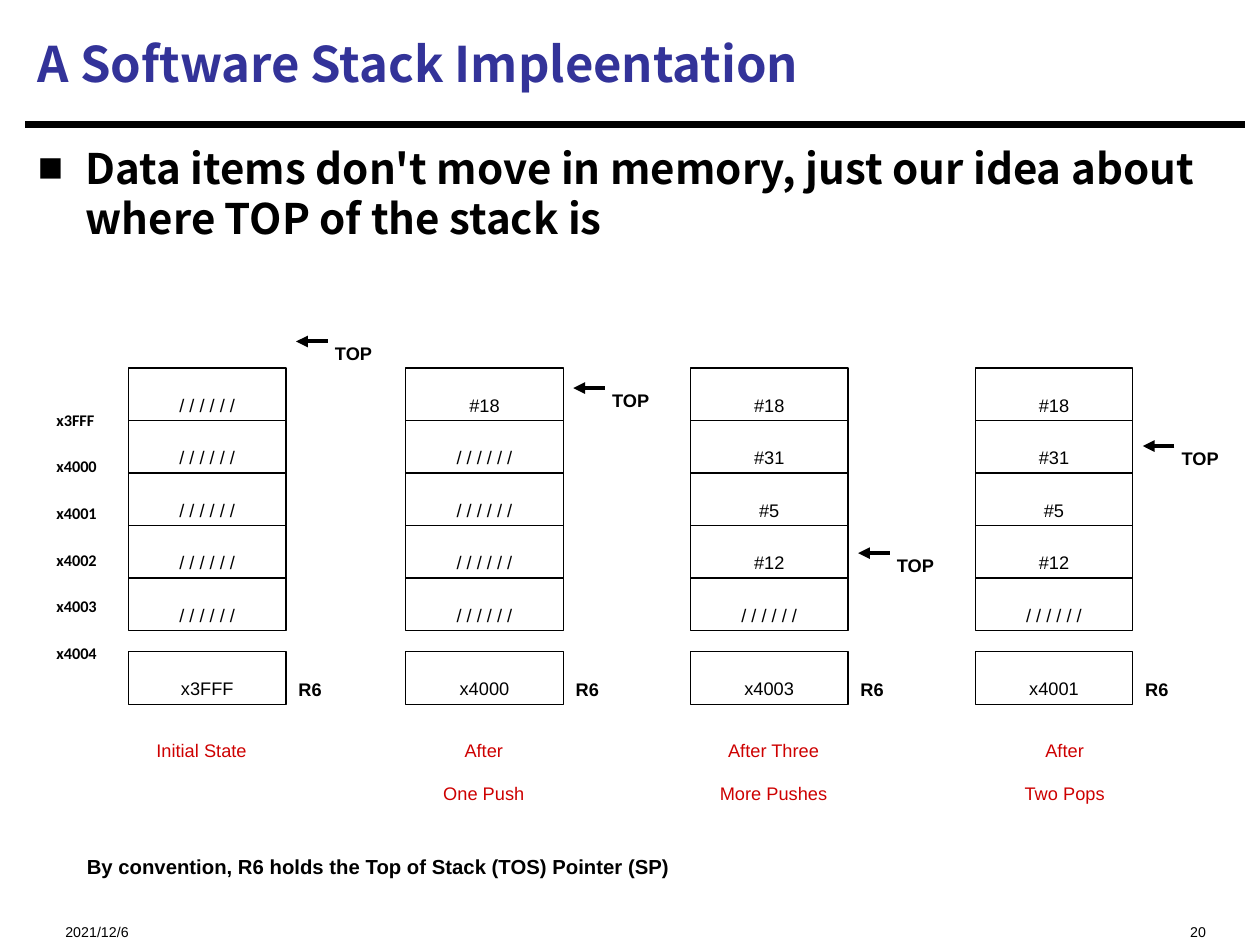
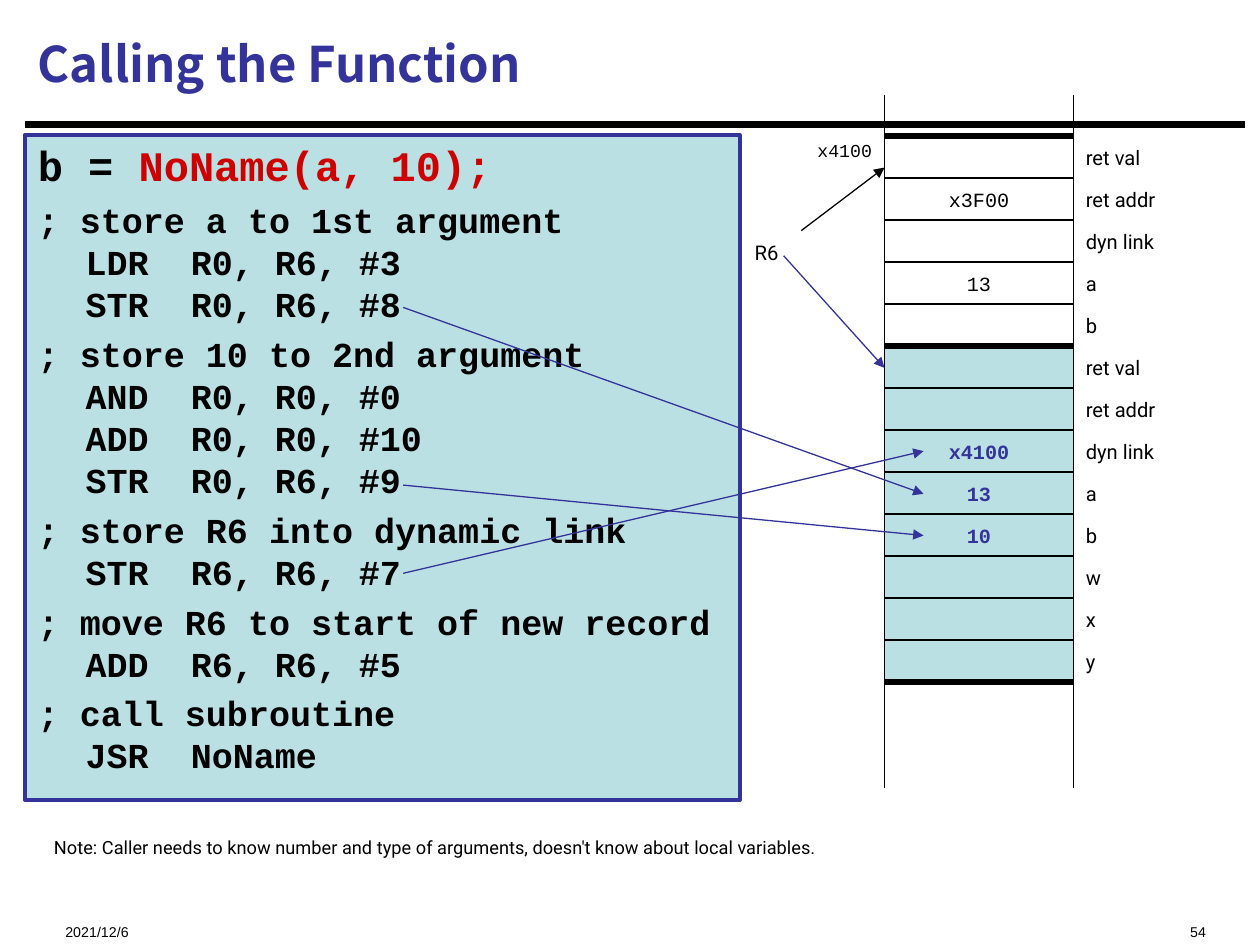
"""Build two slides on software stacks and function calls."""
from lxml import etree
from pptx import Presentation
from pptx.dml.color import RGBColor
from pptx.enum.shapes import MSO_CONNECTOR, MSO_SHAPE
from pptx.enum.text import MSO_ANCHOR, MSO_AUTO_SIZE, PP_ALIGN
from pptx.oxml.ns import qn
from pptx.util import Inches, Pt

STRAIGHT = MSO_CONNECTOR.STRAIGHT
RECTANGLE = MSO_SHAPE.RECTANGLE
TOP, MIDDLE = MSO_ANCHOR.TOP, MSO_ANCHOR.MIDDLE
LEFT, CENTER, RIGHT = PP_ALIGN.LEFT, PP_ALIGN.CENTER, PP_ALIGN.RIGHT
NO_FIT = MSO_AUTO_SIZE.NONE

BLACK = RGBColor(0x00, 0x00, 0x00)
NAVY = RGBColor(0x33, 0x33, 0x99)
RED = RGBColor(0xCE, 0x00, 0x00)
AQUA = RGBColor(0xBB, 0xE0, 0xE3)

HEADING_FONT = "Noto Sans CJK SC"
LABEL_FONT = "Arial"
ADDRESS_FONT = "Calibri"
CODE_FONT = "Courier New"
RECORD_FONT = "Roboto"

EMPTY = "/ / / / / /"
CELL_WIDTH = 1.25
CELL_HEIGHT = 0.42
CELL_STEP = 1.25 / 3
STACK_TOP = 2.92
REGISTER_TOP = 5.17

STACKS = [
    dict(left=1.02, cells=[EMPTY] * 5, arrow_top=2.71, register="x3FFF",
         caption=["Initial State"], caption_center=1.6),
    dict(left=3.22, cells=["#18"] + [EMPTY] * 4, arrow_top=3.08, register="x4000",
         caption=["After", "One Push"], caption_center=3.84),
    dict(left=5.48, cells=["#18", "#31", "#5", "#12", EMPTY], arrow_top=4.39,
         register="x4003", caption=["After Three", "More Pushes"], caption_center=6.14),
    dict(left=7.74, cells=["#18", "#31", "#5", "#12", EMPTY], arrow_top=3.54,
         register="x4001", caption=["After", "Two Pops"], caption_center=8.45),
]

CODE_BLOCKS = [
    ["; store a to 1st argument", "LDR  R0, R6, #3", "STR  R0, R6, #8"],
    ["; store 10 to 2nd argument", "AND  R0, R0, #0", "ADD  R0, R0, #10",
     "STR  R0, R6, #9"],
    ["; store R6 into dynamic link", "STR  R6, R6, #7"],
    ["; move R6 to start of new record", "ADD  R6, R6, #5"],
    ["; call subroutine", "JSR  NoName"],
]

LINKAGE = ["ret val", "ret addr", "dyn link", "a", "b"]
MEMORY_NAMES = LINKAGE * 2 + ["w", "x", "y"]
MEMORY_VALUES = {1: "x3F00", 3: "13", 7: "x4100", 8: "13", 9: "10"}
MEMORY_LEFT, MEMORY_RIGHT = 7.02, 8.52
MEMORY_TOP = 1.08
MEMORY_STEP = 1 / 3
RECORD_STARTS = (0, 5, 13)
CALLEE_START = 5
MEMORY_SIZE = 11.5

POINTERS = [
    ((6.36, 1.83), (7.02, 1.33), BLACK),
    ((3.2, 2.44), (7.33, 3.92), NAVY),
    ((3.2, 3.85), (7.33, 4.25), NAVY),
    ((3.2, 4.55), (7.33, 3.58), NAVY),
    ((6.22, 2.03), (7.02, 2.92), NAVY),
]


def set_font(font, size, name, color=BLACK, bold=False):
    """Apply one set of character formats."""
    formats = dict(size=Pt(size), name=name, bold=bold)
    for attribute, value in formats.items():
        setattr(font, attribute, value)
    font.color.rgb = color


def add_span(para, text, size, name, color=BLACK, bold=False, lowered=True):
    """Append a formatted span, lowered like a subscript by default."""
    span = para.add_run()
    span.text = text
    set_font(span.font, size, name, color, bold)
    if lowered:
        span._r.get_or_add_rPr().set("baseline", "-25000")


def set_frame(frame, anchor=TOP, top_inset=0.05):
    """Set wrapping, fitting, anchor and top inset of a text frame."""
    formats = dict(word_wrap=True, auto_size=NO_FIT, vertical_anchor=anchor,
                   margin_top=Inches(top_inset))
    for attribute, value in formats.items():
        setattr(frame, attribute, value)


def fill_lines(frame, lines, align, spacing=None, **formats):
    """Write one paragraph for each line."""
    for index, line in enumerate(lines):
        para = frame.add_paragraph() if index else frame.paragraphs[0]
        para.alignment = align
        para.line_spacing = spacing
        add_span(para, line, **formats)


def add_label(page, place, lines, size=18, name=LABEL_FONT, align=LEFT,
              anchor=TOP, spacing=None, **formats):
    """Add a text box with one paragraph for each line."""
    box = page.shapes.add_textbox(*map(Inches, place))
    set_frame(box.text_frame, anchor)
    fill_lines(box.text_frame, lines, align, spacing, size=size, name=name, **formats)


def add_line(page, start, end, width=0.75, color=BLACK, arrow=False):
    """Draw a straight line, with an arrowhead at its end if wanted."""
    line = page.shapes.add_connector(STRAIGHT, *map(Inches, (*start, *end)))
    line.line.width = Pt(width)
    line.line.color.rgb = color
    if arrow:
        etree.SubElement(line.line._get_or_add_ln(), qn("a:tailEnd"), type="triangle")
    etree.SubElement(line._element.spPr, qn("a:effectLst"))


def add_rectangle(page, place, fill=None):
    """Add a thinly outlined rectangle."""
    box = page.shapes.add_shape(RECTANGLE, *map(Inches, place))
    box.shadow.inherit = False
    if fill is None:
        box.fill.background()
    else:
        box.fill.solid()
        box.fill.fore_color.rgb = fill
    box.line.color.rgb = BLACK
    box.line.width = Pt(0.75)
    return box


def add_cell(page, left, top, text):
    """Add a stack cell with its value."""
    box = add_rectangle(page, (left, top, CELL_WIDTH, CELL_HEIGHT))
    set_frame(box.text_frame, MIDDLE)
    fill_lines(box.text_frame, [text], CENTER, size=18, name=LABEL_FONT)


def place_holder(holder, left, top, width, height):
    """Move a placeholder."""
    holder.left, holder.top = Inches(left), Inches(top)
    holder.width, holder.height = Inches(width), Inches(height)


def hang_para(para, bullet=None):
    """Give a paragraph a hanging indent and an optional bullet."""
    properties = para._p.get_or_add_pPr()
    properties.set("marL", str(Inches(0.38)))
    properties.set("indent", str(-Inches(0.38)))
    if bullet:
        etree.SubElement(properties, qn("a:buFont"), typeface=LABEL_FONT)
        etree.SubElement(properties, qn("a:buChar"), char=bullet)
    else:
        etree.SubElement(properties, qn("a:buNone"))
    para.alignment = LEFT
    para.space_before = Pt(0)


def add_page(deck, title, number):
    """Add a slide with the shared title, rule and footers."""
    page = deck.slides.add_slide(deck.slide_layouts[1])
    heading = page.shapes.title
    place_holder(heading, 0.2, 0.08, 9.67, 0.84)
    set_frame(heading.text_frame, MIDDLE)
    fill_lines(heading.text_frame, [title], LEFT, size=28, name=HEADING_FONT,
               color=NAVY, bold=True, lowered=False)
    add_line(page, (0.2, 0.99), (9.88, 0.99), 3.75)
    add_label(page, (0.42, 7.15, 2.5, 0.27), ["2021/12/6"], 14)
    add_label(page, (6.67, 7.15, 3, 0.27), [number], 14, align=RIGHT)
    return page


def add_stack(page, left, cells, arrow_top, register, caption, caption_center):
    """Draw one stack state with its pointer, register and caption."""
    for row, value in enumerate(cells):
        add_cell(page, left, STACK_TOP + row * CELL_STEP, value)
    add_label(page, (left + 1.54, arrow_top - 0.21, 0.72, 0.4), ["TOP"], bold=True)
    add_line(page, (left + 1.58, arrow_top), (left + 1.33, arrow_top), 2.25, arrow=True)
    add_cell(page, left, REGISTER_TOP, register)
    add_label(page, (left + 1.25, REGISTER_TOP, 0.52, 0.4), ["R6"], bold=True)
    add_label(page, (caption_center - 0.85, 5.65, 1.7, 0.71), caption,
              align=CENTER, color=RED)


def build_stack_page(deck):
    """Build the slide that compares four stack states."""
    page = add_page(deck, "A Software Stack Impleentation", "20")
    body = page.placeholders[1]
    place_holder(body, 0.2, 1.07, 9.67, 0.94)
    set_frame(body.text_frame, top_inset=0.06)
    para = body.text_frame.paragraphs[0]
    hang_para(para, "■")
    para.line_spacing = Pt(28.6)
    add_span(para, "Data items don't move in memory, just our idea about "
             "where TOP of the stack is", 24, HEADING_FONT, bold=True, lowered=False)
    add_label(page, (0.59, 6.54, 8.98, 0.43),
              ["By convention, R6 holds the Top of Stack (TOS) Pointer (SP)"], 20, bold=True)
    addresses = ["x3FFF"] + [f"x400{digit}" for digit in range(5)]
    add_label(page, (0.35, 2.99, 0.76, 2.07), addresses, 16, ADDRESS_FONT,
              spacing=1.22, bold=True)
    for stack in STACKS:
        add_stack(page, **stack)


def fill_code(body):
    """Write the call and its assembly code into the body placeholder."""
    place_holder(body, 0.2, 1.07, 5.67, 5.28)
    body.fill.solid()
    body.fill.fore_color.rgb = AQUA
    body.line.color.rgb = NAVY
    body.line.width = Pt(2.25)
    frame = body.text_frame
    set_frame(frame, top_inset=0.04)
    call = frame.paragraphs[0]
    hang_para(call)
    call.line_spacing = Pt(28.8)
    for text, color in (("b = ", BLACK), ("NoName(a, 10);", RED)):
        add_span(call, text, 24, CODE_FONT, color, True, lowered=False)
    for block in CODE_BLOCKS:
        para = frame.add_paragraph()
        hang_para(para)
        para.space_before = Pt(4.5)
        para.line_spacing = Pt(24)
        for index, line in enumerate(block):
            if index:
                para.add_line_break()
            add_span(para, line, 20, CODE_FONT, bold=True, lowered=False)


def add_memory(page):
    """Draw the memory column with a name and value centred in each row."""
    width = MEMORY_RIGHT - MEMORY_LEFT
    add_rectangle(page, (MEMORY_LEFT, 2.75, width, 2.67), AQUA)
    for side in (MEMORY_LEFT, MEMORY_RIGHT):
        add_line(page, (side, 0.75), (side, 6.25))
    for row in range(len(MEMORY_NAMES) + 1):
        top = MEMORY_TOP + row * MEMORY_STEP
        add_line(page, (MEMORY_LEFT, top), (MEMORY_RIGHT, top),
                 3 if row in RECORD_STARTS else 0.75)
    for row, name in enumerate(MEMORY_NAMES):
        top = MEMORY_TOP + row * MEMORY_STEP
        add_label(page, (MEMORY_RIGHT, top, 1.13, MEMORY_STEP), [name], MEMORY_SIZE,
                  RECORD_FONT, anchor=MIDDLE, lowered=False)
        if row in MEMORY_VALUES:
            passed = row >= CALLEE_START
            add_label(page, (MEMORY_LEFT, top, width, MEMORY_STEP), [MEMORY_VALUES[row]],
                      MEMORY_SIZE, CODE_FONT, CENTER, MIDDLE, lowered=False,
                      color=NAVY if passed else BLACK, bold=passed)


def build_call_page(deck):
    """Build the slide that links call code to memory."""
    page = add_page(deck, "Calling the Function", "54")
    fill_code(page.placeholders[1])
    add_memory(page)
    add_label(page, (6.07, 0.89, 0.95, 0.4), ["x4100"], 18, CODE_FONT, RIGHT)
    add_label(page, (5.82, 1.67, 0.53, 0.43), ["R6"], 20, RECORD_FONT, CENTER)
    for start, end, color in POINTERS:
        add_line(page, start, end, color=color, arrow=True)
    add_label(page, (0.33, 6.42, 9.39, 0.7),
              ["Note: Caller needs to know number and type of arguments, "
               "doesn't know about local variables."], 18, RECORD_FONT)


def main():
    """Build and save the deck."""
    deck = Presentation()
    deck.slide_width, deck.slide_height = Inches(10), Inches(7.5)
    build_stack_page(deck)
    build_call_page(deck)
    deck.save("out.pptx")


if __name__ == "__main__":
    main()
